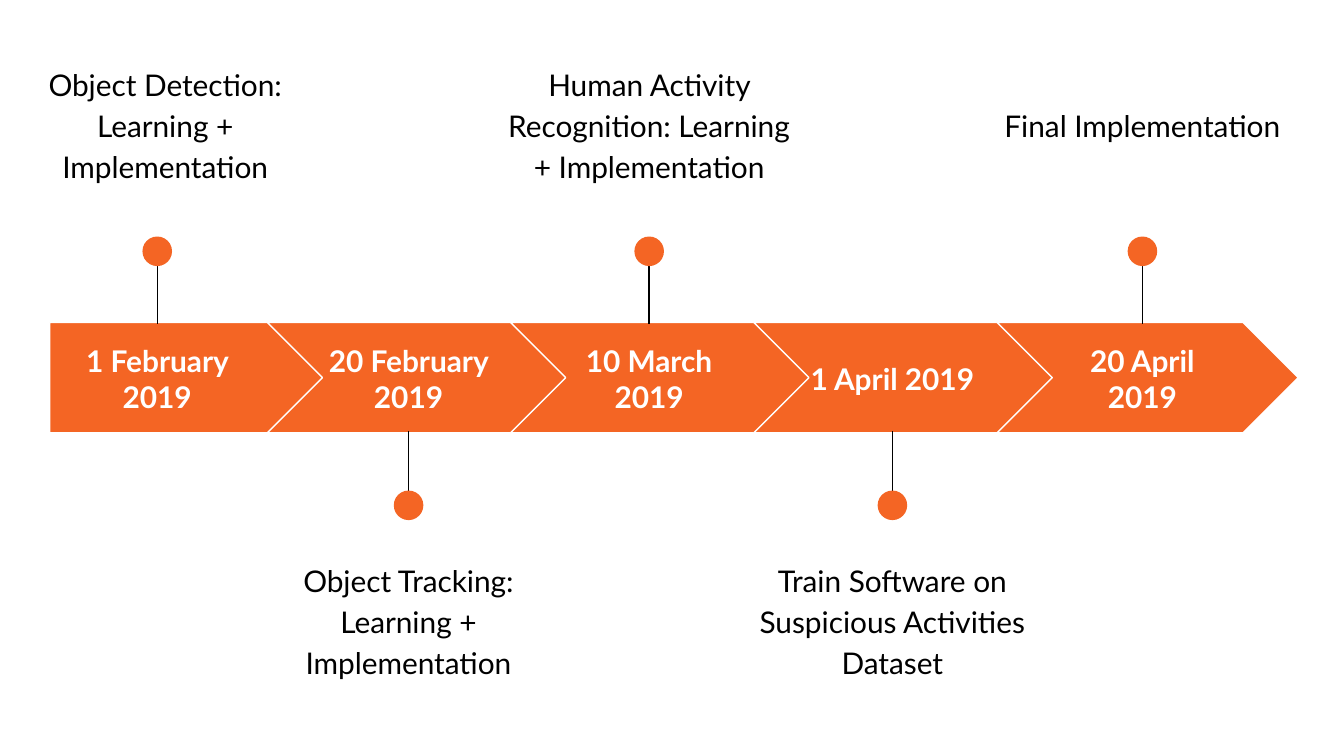
from dataclasses import dataclass

from lxml import etree
from pptx import Presentation
from pptx.dml.color import RGBColor
from pptx.enum.shapes import MSO_CONNECTOR, MSO_SHAPE
from pptx.enum.text import MSO_ANCHOR, PP_ALIGN
from pptx.oxml.ns import qn
from pptx.slide import Slide
from pptx.util import Inches, Pt

PLATE = MSO_SHAPE.PENTAGON
CHEVRON = MSO_SHAPE.CHEVRON
OVAL = MSO_SHAPE.OVAL
STRAIGHT = MSO_CONNECTOR.STRAIGHT
MIDDLE = MSO_ANCHOR.MIDDLE
CENTER = PP_ALIGN.CENTER


@dataclass(frozen=True)
class Theme:
    font: str = "Lato"
    size: Pt = Pt(16)
    line: Pt = Pt(0.75)
    accent: RGBColor = RGBColor(0xF4, 0x65, 0x24)
    dark: RGBColor = RGBColor(0, 0, 0)
    light: RGBColor = RGBColor(255, 255, 255)


@dataclass(frozen=True)
class Box:
    left: float
    top: float
    width: float
    height: float

    def place(self) -> tuple:
        return tuple(map(Inches, (self.left, self.top, self.width, self.height)))


@dataclass(frozen=True)
class Side:
    note: float
    dot: float
    start: float
    end: float


@dataclass(frozen=True)
class Step:
    date: str
    note: str
    mid: float
    side: Side
    span: float = 1.44
    shift: float = 0


THEME = Theme()
ABOVE = Side(note=0.42, dot=1.76, start=1.8, end=2.41)
BELOW = Side(note=4.11, dot=3.65, start=3.82, end=3.21)
BAND, DEPTH = 2.4, 0.82
FIRST = Box(0.37, BAND, 2.05, DEPTH)
NEXT, PITCH, WIDE = 1.99, 1.81, 2.24
DOT = 0.22
NOTE = 2.45

STEPS = (
    Step("1 February 2019", "Object Detection: Learning + Implementation",
         1.17, ABOVE, 1.59, 0.06),
    Step("20 February 2019", "Object Tracking: Learning + Implementation",
         3.04, BELOW),
    Step("10 March 2019", "Human Activity Recognition: Learning + Implementation",
         4.83, ABOVE),
    Step("1 April 2019", "Train Software on Suspicious Activities Dataset",
         6.64, BELOW),
    Step("20 April 2019", "Final Implementation", 8.5, ABOVE),
)


def add_text(slide: Slide, box: Box, text: str, color: RGBColor,
             bold: bool = False, lead: float = 1, after: float = 0) -> None:
    frame = slide.shapes.add_textbox(*box.place()).text_frame
    frame.word_wrap = True
    frame.vertical_anchor = MIDDLE
    frame.margin_left = frame.margin_right = Inches(0.1)
    frame.margin_top = frame.margin_bottom = Inches(0.1)
    para = frame.paragraphs[0]
    para.alignment = CENTER
    para.line_spacing = lead
    para.space_after = Pt(after)
    run = para.add_run()
    run.text = text
    font = run.font
    font.name, font.size, font.bold = THEME.font, THEME.size, bold
    font.color.rgb = color


def add_form(slide: Slide, kind: MSO_SHAPE, box: Box, edge: bool) -> None:
    form = slide.shapes.add_shape(kind, *box.place())
    form.shadow.inherit = False
    form.fill.solid()
    form.fill.fore_color.rgb = THEME.accent
    if edge:
        form.line.color.rgb = THEME.light
        form.line.width = THEME.line
    else:
        form.line.fill.background()


def add_stem(slide: Slide, mid: float, side: Side) -> None:
    stem = slide.shapes.add_connector(
        STRAIGHT, Inches(mid), Inches(side.start), Inches(mid), Inches(side.end))
    stem.line.color.rgb = THEME.dark
    stem.line.width = THEME.line
    etree.SubElement(stem.element.spPr, qn("a:effectLst"))


def add_step(slide: Slide, index: int, step: Step) -> None:
    if index == 0:
        add_form(slide, PLATE, FIRST, True)
    else:
        left = NEXT + PITCH * (index - 1)
        add_form(slide, CHEVRON, Box(left, BAND, WIDE, DEPTH), True)
    mid, side = step.mid, step.side
    date = Box(mid - step.span / 2, 2.56, step.span, 0.51)
    add_text(slide, date, step.date, THEME.light, bold=True)
    add_stem(slide, mid, side)
    add_form(slide, OVAL, Box(mid - DOT / 2, side.dot, DOT, DOT), False)
    note = Box(mid + step.shift - NOTE / 2, side.note, NOTE, 0.99)
    add_text(slide, note, step.note, THEME.dark, lead=1.15, after=16)


def main() -> None:
    deck = Presentation()
    deck.slide_width = Inches(10)
    deck.slide_height = Inches(10 * 9 / 16)
    slide = deck.slides.add_slide(deck.slide_layouts[6])
    for index, step in enumerate(STEPS):
        add_step(slide, index, step)
    deck.save("out.pptx")


if __name__ == "__main__":
    main()
